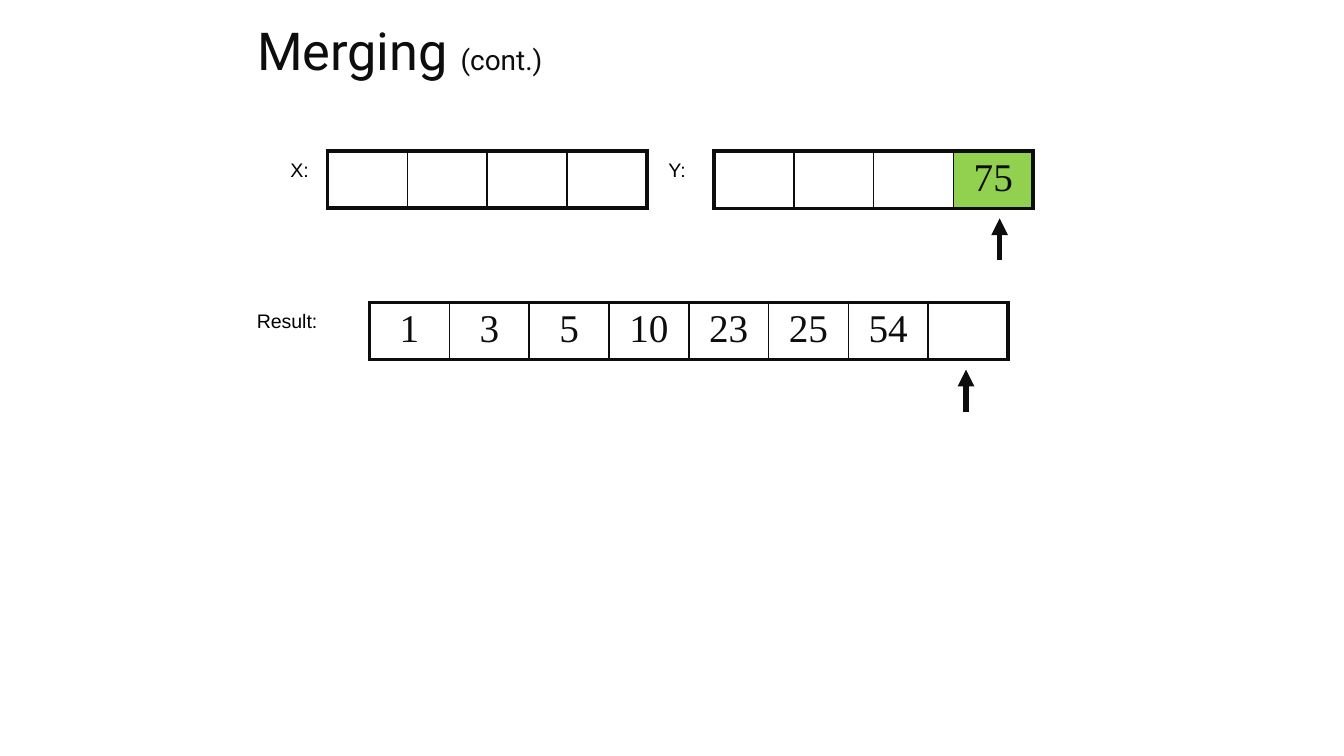
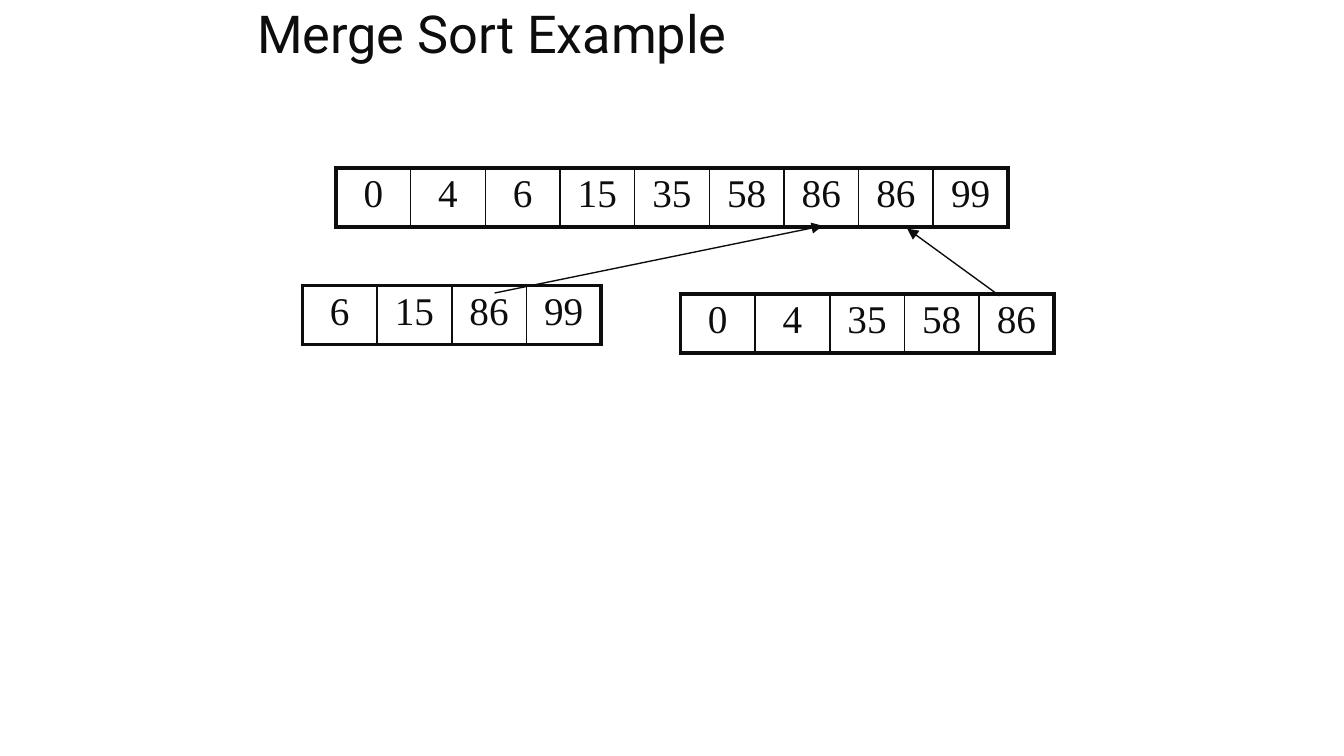
from lxml.etree import SubElement
from pptx import Presentation
from pptx.dml.color import RGBColor
from pptx.enum.shapes import MSO_CONNECTOR
from pptx.enum.text import MSO_ANCHOR, MSO_AUTO_SIZE, PP_ALIGN
from pptx.oxml.ns import qn
from pptx.util import Pt

COLORS = {"ink": "0D0D0D", "label": "000000", "active": "92D050", "page": "FFFFFF"}
TITLE_FONT, LABEL_FONT, CELL_FONT = "Roboto", "Arial", "Times New Roman"
TITLE_LEFT, TITLE_WIDTH = 130.5, 459
OUTER_BORDER, INNER_BORDER = 2.25, 1


def color(name):
    return RGBColor.from_string(COLORS[name])


def write(para, text, *, font, size, fill="ink", align=PP_ALIGN.LEFT, spacing=None):
    """Append a formatted span to a paragraph."""
    para.alignment = align
    if spacing:
        para.line_spacing = spacing
    span = para.add_run()
    span.text = text
    span.font.name = font
    span.font.size = Pt(size)
    span.font.color.rgb = color(fill)


def add_page(deck, title, top, height, suffix=None):
    page = deck.slides.add_slide(deck.slide_layouts[5])
    page.background.fill.solid()
    page.background.fill.fore_color.rgb = color("page")
    box = page.shapes.title
    box.left, box.top = Pt(TITLE_LEFT), Pt(top)
    box.width, box.height = Pt(TITLE_WIDTH), Pt(height)
    frame = box.text_frame
    frame.auto_size = MSO_AUTO_SIZE.NONE
    frame.word_wrap = True
    frame.vertical_anchor = MSO_ANCHOR.TOP
    frame.margin_left = frame.margin_right = Pt(7.2)
    frame.margin_top = frame.margin_bottom = Pt(7.2)
    para = frame.paragraphs[0]
    write(para, title, font=TITLE_FONT, size=28, spacing=0.8)
    if suffix:
        write(para, suffix, font=TITLE_FONT, size=15, spacing=0.8)
    return page


def add_label(page, text, left, top, width):
    box = page.shapes.add_textbox(Pt(left), Pt(top), Pt(width), Pt(20.25))
    box.text_frame.word_wrap = True
    write(box.text_frame.paragraphs[0], text, font=LABEL_FONT, size=10.5, fill="label")


def add_arrow(page, start, end, weight):
    ends = [Pt(value) for value in (*start, *end)]
    arrow = page.shapes.add_connector(MSO_CONNECTOR.STRAIGHT, *ends)
    arrow.line.color.rgb = color("ink")
    arrow.line.width = Pt(weight)
    SubElement(arrow.line._get_or_add_ln(), qn("a:tailEnd"), type="triangle")
    SubElement(arrow._element.spPr, qn("a:effectLst"))


def set_borders(cell, first, last):
    """Thick lines around the strip, thin lines between its cells."""
    widths = {
        "a:lnL": OUTER_BORDER if first else INNER_BORDER,
        "a:lnR": OUTER_BORDER if last else INNER_BORDER,
        "a:lnT": OUTER_BORDER,
        "a:lnB": OUTER_BORDER,
    }
    properties = cell._tc.get_or_add_tcPr()
    for side, width in widths.items():
        line = SubElement(properties, qn(side), w=str(int(Pt(width))))
        fill = SubElement(line, qn("a:solidFill"))
        SubElement(fill, qn("a:srgbClr"), val=COLORS["ink"])


def add_array(page, values, left, top, cell_width, height, active=None):
    """Draw a one-row table; None leaves a cell empty, active is the filled index."""
    count = len(values)
    table = page.shapes.add_table(
        1, count, Pt(left), Pt(top), Pt(cell_width * count), Pt(height)
    ).table
    table.first_row = table.horz_banding = False
    table.rows[0].height = Pt(height)
    for index, value in enumerate(values):
        table.columns[index].width = Pt(cell_width)
        cell = table.cell(0, index)
        cell.margin_left = cell.margin_right = Pt(5.4)
        cell.margin_top = cell.margin_bottom = Pt(2.7)
        set_borders(cell, index == 0, index == count - 1)
        if index == active:
            cell.fill.solid()
            cell.fill.fore_color.rgb = color("active")
        else:
            cell.fill.background()
        if value is not None:
            write(cell.text_frame.paragraphs[0], str(value), font=CELL_FONT,
                  size=21, align=PP_ALIGN.CENTER)


def add_labelled_array(page, label, values, left, top, label_gap, label_width,
                       pointer=None, active=None):
    """Draw an array with its name to the left and an optional pointer below."""
    add_array(page, values, left, top, 42.75, 30.4, active)
    add_label(page, label, left - label_gap, top, label_width)
    if pointer is not None:
        x = left + pointer
        add_arrow(page, (x, top + 58.5), (x, top + 36), 3)


def build_merging(deck):
    page = add_page(deck, "Merging ", 9, 45, suffix="(cont.)")
    add_labelled_array(page, "X:", [None] * 4, 175.5, 81, 27, 31.5)
    add_labelled_array(page, "Y:", [None, None, None, 75], 382.5, 81, 31.5, 31.5,
                       pointer=153, active=3)
    add_labelled_array(page, "Result:", [1, 3, 5, 10, 23, 25, 54, None],
                       198, 162, 67.5, 63, pointer=319.5)


def build_merge_sort(deck):
    page = add_page(deck, "Merge Sort Example", 0, 54)
    arrays = [
        ([0, 4, 6, 15, 35, 58, 86, 86, 99], 180, 90),
        ([6, 15, 86, 99], 162, 153),
        ([0, 4, 35, 58, 86], 364.5, 157.5),
    ]
    for values, left, top in arrays:
        add_array(page, values, left, top, 40, 31.5)
    add_arrow(page, (265, 157), (440.75, 121), 0.75)
    add_arrow(page, (535.5, 158.5), (486, 122.5), 0.75)


def main():
    deck = Presentation()
    deck.slide_width, deck.slide_height = Pt(720), Pt(405)
    build_merging(deck)
    build_merge_sort(deck)
    deck.save("out.pptx")


if __name__ == "__main__":
    main()
